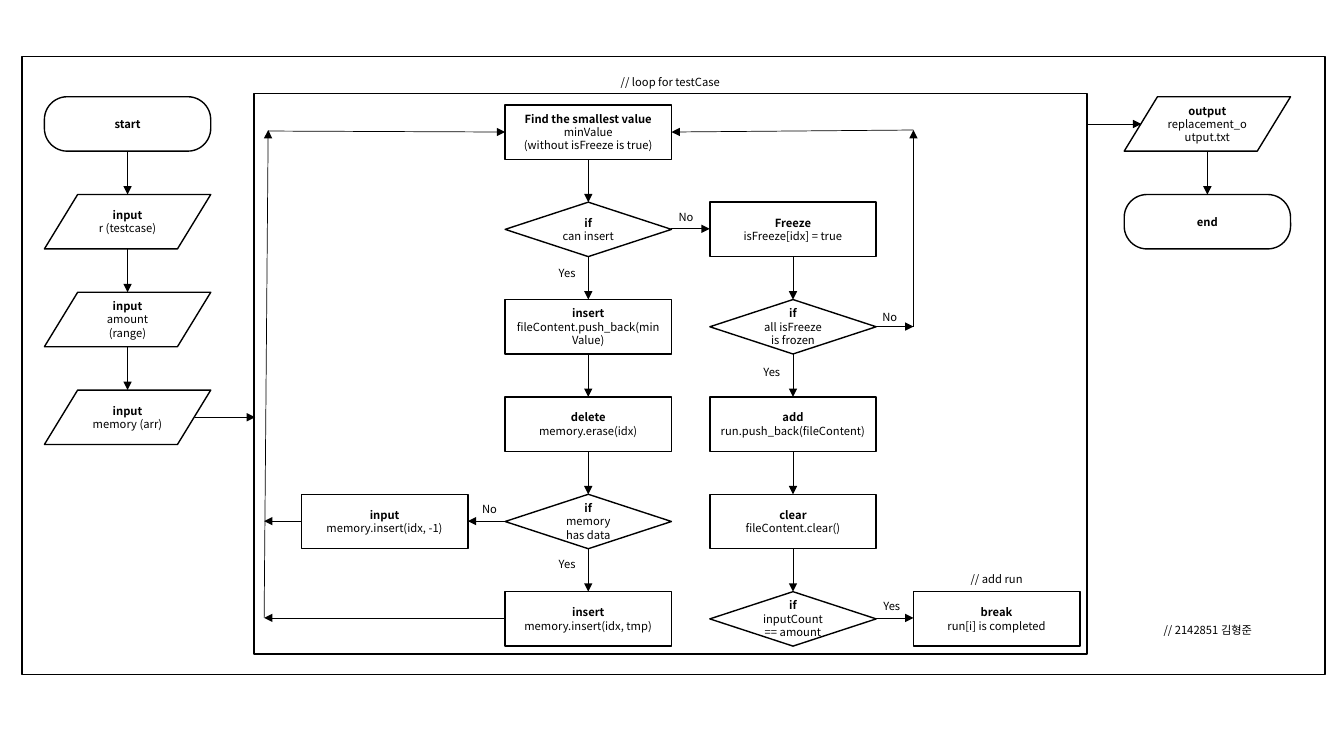
from lxml import etree
from pptx import Presentation
from pptx import util as u
from pptx.dml.color import RGBColor
from pptx.enum import shapes, text
from pptx.oxml.ns import qn

COLORS = {"ink": "000000", "paper": "FFFFFF"}
FONT = "Noto Sans CJK KR"
INK = RGBColor.from_string(COLORS["ink"])
PAPER = RGBColor.from_string(COLORS["paper"])
LEFTS = [0.44, 2.99, 5.01, 7.04, 9.06, 11.15]
SIDES = (0, 5)
W, H = 1.65, 0.54
PITCH = {True: 0.97, False: (5.87 - 1.04) / 5}
TOP = {True: 0.96, False: 1.04}

MSO = shapes.MSO_SHAPE
PROCESS = MSO.FLOWCHART_PROCESS
DECISION = MSO.FLOWCHART_DECISION
DATA = MSO.FLOWCHART_DATA
TERMINAL = MSO.ROUNDED_RECTANGLE

prs = Presentation()
prs.slide_width, prs.slide_height = u.Inches(13.33), u.Inches(7.5)
s = prs.slides.add_slide(prs.slide_layouts[6])


def add_box(kind, x, y, w, h):
    sp = s.shapes.add_shape(kind, *map(u.Inches, (x, y, w, h)))
    sp.shadow.inherit = False
    sp.fill.solid()
    sp.fill.fore_color.rgb = PAPER
    sp.line.color.rgb = INK
    sp.line.width = u.Pt(1)
    return sp


def write(tf, lines, bold_first):
    for i, line in enumerate(lines):
        p = tf.paragraphs[0] if i == 0 else tf.add_paragraph()
        p.alignment = text.PP_ALIGN.CENTER
        r = p.add_run()
        r.text = line
        r.font.name = FONT
        r.font.size = u.Pt(8)
        r.font.bold = bold_first and i == 0
        r.font.color.rgb = INK
        etree.SubElement(r.font._element, qn("a:ea")).set("typeface", FONT)


add_box(PROCESS, 0.22, 0.56, 12.92, 6.13)
add_box(PROCESS, 2.52, 0.93, 8.26, 5.56)

nodes = [
    (0, 0, TERMINAL, ["start"]),
    (0, 1, DATA, ["input", "r (testcase)"]),
    (0, 2, DATA, ["input", "amount (range)"]),
    (0, 3, DATA, ["input", "memory (arr)"]),
    (5, 0, DATA, ["output", "replacement_output.txt"]),
    (5, 1, TERMINAL, ["end"]),
    (2, 0, PROCESS, ["Find the smallest value", "minValue", "(without isFreeze is true)"]),
    (2, 1, DECISION, ["if", "can insert"]),
    (2, 2, PROCESS, ["insert", "fileContent.push_back(minValue)"]),
    (2, 3, PROCESS, ["delete", "memory.erase(idx)"]),
    (2, 4, DECISION, ["if", "memory has data"]),
    (2, 5, PROCESS, ["insert", "memory.insert(idx, tmp)"]),
    (1, 4, PROCESS, ["input", "memory.insert(idx, -1)"]),
    (3, 1, PROCESS, ["Freeze", "isFreeze[idx] = true"]),
    (3, 2, DECISION, ["if", "all isFreeze is frozen"]),
    (3, 3, PROCESS, ["add", "run.push_back(fileContent)"]),
    (3, 4, PROCESS, ["clear", "fileContent.clear()"]),
    (3, 5, DECISION, ["if", "inputCount == amount"]),
    (4, 5, PROCESS, ["break", "run[i] is completed"]),
]

arrows = [
    (6.66, 2.27, 7.04, 2.27),
    (8.68, 3.24, 9.06, 3.24),
    (9.06, 3.24, 9.06, 1.29),
    (9.06, 1.29, 6.66, 1.31),
    (8.68, 6.13, 9.06, 6.13),
    (5.01, 5.17, 4.64, 5.17),
    (2.99, 5.17, 2.62, 5.17),
    (5.01, 6.13, 2.62, 6.13),
    (2.62, 6.13, 2.66, 1.29),
    (2.66, 1.3, 5.01, 1.31),
    (1.93, 4.14, 2.53, 4.14),
    (10.78, 1.23, 11.32, 1.23),
]

cells = {(col, row) for col, row, kind, lines in nodes}
for col, row, kind, lines in nodes:
    side = col in SIDES
    x, y = LEFTS[col], TOP[side] + row * PITCH[side]
    sp = add_box(kind, x, y, W, H)
    if kind == TERMINAL:
        sp.adjustments[0] = 0.42
    tf = sp.text_frame
    tf.word_wrap = True
    tf.vertical_anchor = text.MSO_ANCHOR.MIDDLE
    write(tf, lines, True)
    if (col, row + 1) in cells:
        arrows.append((x + W / 2, y + H, x + W / 2, y + PITCH[side]))

for ends in arrows:
    cx = s.shapes.add_connector(shapes.MSO_CONNECTOR.STRAIGHT, *map(u.Inches, ends))
    cx.line.color.rgb = INK
    cx.line.width = u.Pt(0.5)
    etree.SubElement(cx.line._get_or_add_ln(), qn("a:tailEnd")).set("type", "triangle")
    etree.SubElement(cx._element.spPr, qn("a:effectLst"))

labels = [
    ("Yes", 5.42, 2.59, 0.41),
    ("Yes", 5.42, 5.48, 0.41),
    ("Yes", 7.45, 3.58, 0.41),
    ("Yes", 8.64, 5.9, 0.41),
    ("No", 6.63, 2.04, 0.35),
    ("No", 8.65, 3.03, 0.35),
    ("No", 4.68, 4.93, 0.35),
    ("// add run", 9.51, 5.63, 0.75),
    ("// loop for testCase", 6, 0.7, 1.3),
    ("// 2142851 김형준", 11.4, 6.13, 1.16),
]
for label, x, y, w in labels:
    tf = s.shapes.add_textbox(*map(u.Inches, (x, y, w, 0.24))).text_frame
    tf.word_wrap = False
    tf.auto_size = text.MSO_AUTO_SIZE.SHAPE_TO_FIT_TEXT
    write(tf, [label], False)

prs.save("out.pptx")
